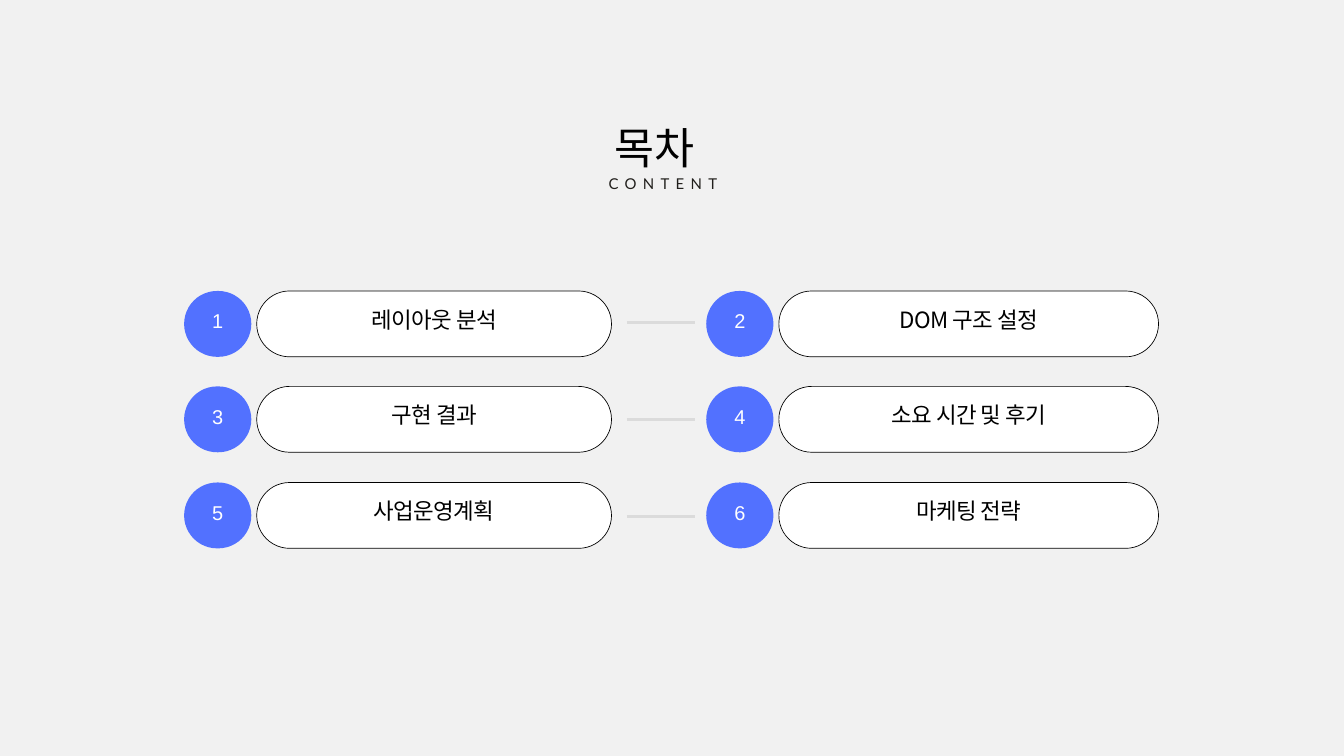
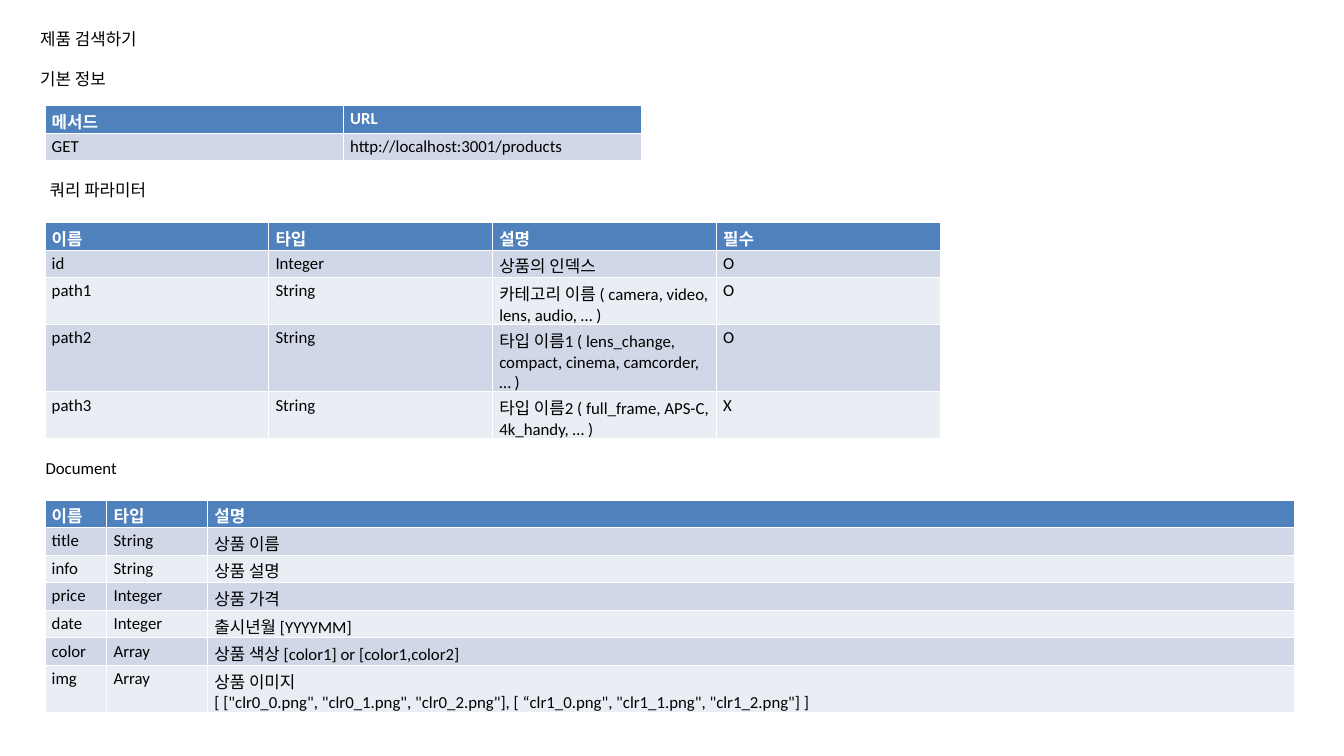
from pptx import Presentation
from pptx.dml.color import RGBColor
from pptx.enum.shapes import MSO_CONNECTOR, MSO_SHAPE
from pptx.enum.text import MSO_ANCHOR, MSO_AUTO_SIZE, PP_ALIGN
from pptx.oxml.ns import qn
from pptx.util import Pt
from lxml.etree import SubElement

PX = 9144
COLORS = {
    "gray_bg": "F1F1F1", "white": "FFFFFF", "black": "000000", "ink": "211F1C",
    "badge": "5271FF", "rule": "DBDBDB",
    "header": "4F81BD", "band_dark": "D0D8E8", "band_light": "E9EDF4",
}
KOREAN, SUBTITLE, NUMBER, BODY = "Noto Sans CJK KR", "Lato", "Arial", "Calibri"

CONTENTS = ["레이아웃 분석", "DOM 구조 설정", "구현 결과",
            "소요 시간 및 후기", "사업운영계획", "마케팅 전략"]
BASIC_INFO = [
    ["메서드", "URL"],
    ["GET", "http://localhost:3001/products"],
]
QUERY_PARAMS = [
    ["이름", "타입", "설명", "필수"],
    ["id", "Integer", "상품의 인덱스", "O"],
    ["path1", "String", "카테고리 이름 ( camera, video, lens, audio, … )", "O"],
    ["path2", "String", "타입 이름1 ( lens_change, compact, cinema, camcorder, … )", "O"],
    ["path3", "String", "타입 이름2 ( full_frame, APS-C, 4k_handy, … )", "X"],
]
DOCUMENT = [
    ["이름", "타입", "설명"],
    ["title", "String", "상품 이름"],
    ["info", "String", "상품 설명"],
    ["price", "Integer", "상품 가격"],
    ["date", "Integer", "출시년월 [YYYYMM]"],
    ["color", "Array", "상품 색상 [color1] or [color1,color2]"],
    ["img", "Array", '상품 이미지\v[ ["clr0_0.png", "clr0_1.png", "clr0_2.png"], '
                     '[ “clr1_0.png", "clr1_1.png", "clr1_2.png"] ]'],
]


def rgb(name):
    """Return the named colour."""
    return RGBColor.from_string(COLORS[name])


class Deck:
    """Holds the shared style and the current slide."""

    def __init__(self):
        """Open an empty 20 by 11.25 inch presentation."""
        self.prs = Presentation()
        self.prs.slide_width, self.prs.slide_height = 2000 * PX, 1125 * PX
        self.s = None

    def slide(self, bg):
        """Start a blank slide with a plain background."""
        self.s = self.prs.slides.add_slide(self.prs.slide_layouts[6])
        fill = self.s.background.fill
        fill.solid()
        fill.fore_color.rgb = rgb(bg)

    def style(self, p, font, size, color, bold=False, spacing=0):
        """Format every run of a paragraph."""
        for r in p.runs:
            r.font.name, r.font.size, r.font.bold = font, Pt(size), bold
            r.font.color.rgb = rgb(color)
            rPr = r._r.get_or_add_rPr()
            if spacing:
                rPr.set("spc", str(round(spacing * 100)))
            if font == KOREAN:
                SubElement(rPr, qn("a:ea"), typeface=font)

    def text(self, box, text, font, size, color, leading, spacing=0, inset=0,
             align=PP_ALIGN.CENTER, anchor=MSO_ANCHOR.TOP, parent=None):
        """Add a wrapped text box with an exact line height."""
        sp = (parent or self.s).shapes.add_textbox(*(v * PX for v in box))
        tf = sp.text_frame
        tf.word_wrap, tf.vertical_anchor = True, anchor
        tf.margin_left = tf.margin_top = tf.margin_right = tf.margin_bottom = inset * PX
        tf.text = text
        p = tf.paragraphs[0]
        p.alignment, p.line_spacing = align, Pt(leading)
        self.style(p, font, size, color, spacing=spacing)

    def pill(self, box, fill, line, lift, text, *look):
        """Group a fully rounded shape with a label set slightly above its middle."""
        x, y, w, h = box
        group = self.s.shapes.add_group_shape()
        sp = group.shapes.add_shape(MSO_SHAPE.ROUNDED_RECTANGLE, *(v * PX for v in box))
        sp.adjustments[0] = 0.5
        sp.shadow.inherit = False
        sp.fill.solid()
        sp.fill.fore_color.rgb = rgb(fill)
        if line:
            sp.line.color.rgb, sp.line.width = rgb(line), Pt(0.75)
        else:
            sp.line.fill.background()
        self.text((x, y - lift, w, h + lift), text, *look, inset=4,
                  anchor=MSO_ANCHOR.MIDDLE, parent=group)

    def rule(self, x1, x2, y):
        """Draw a horizontal line."""
        line = self.s.shapes.add_connector(
            MSO_CONNECTOR.STRAIGHT, x1 * PX, y * PX, x2 * PX, y * PX)
        line.line.color.rgb, line.line.width = rgb("rule"), Pt(3)
        SubElement(line._element.spPr, qn("a:effectLst"))

    def caption(self, x, y, w, text):
        """Add a one-line section caption."""
        sp = self.s.shapes.add_textbox(x * PX, y * PX, w * PX, 40 * PX)
        tf = sp.text_frame
        tf.word_wrap, tf.auto_size = False, MSO_AUTO_SIZE.SHAPE_TO_FIT_TEXT
        tf.text = text
        self.style(tf.paragraphs[0], BODY, 18, "black")

    def table(self, y, widths, rows):
        """Add a table with a header row and banded body rows."""
        height = 41
        tbl = self.s.shapes.add_table(
            len(rows), len(widths), 67 * PX, y * PX,
            sum(widths) * PX, height * len(rows) * PX).table
        for col, w in zip(tbl.columns, widths):
            col.width = w * PX
        for i, row in enumerate(rows):
            fill = "header" if i == 0 else "band_dark" if i % 2 else "band_light"
            for j, value in enumerate(row):
                cell = tbl.cell(i, j)
                cell.fill.solid()
                cell.fill.fore_color.rgb = rgb(fill)
                cell.text_frame.text = value
                self.style(cell.text_frame.paragraphs[0], BODY, 18,
                           "black" if i else "white", bold=i == 0)


def contents_slide(deck):
    """Build the table of contents."""
    deck.slide("gray_bg")
    for i, title in enumerate(CONTENTS):
        row, col = divmod(i, 2)
        x, y = 274 + 777 * col, 433 + 285 * row // 2
        deck.pill((x + 108, y, (528, 565)[col], 98), "white", "black", 23,
                  title, KOREAN, 24, "black", 35.3, -0.6)
        deck.pill((x, y, 100, 98), "badge", None, 17,
                  str(i + 1), NUMBER, 21.4, "white", 31.4, 3.1)
    deck.text((915, 162, 153, 92), "목차", KOREAN, 46.6, "black", 68.5,
              align=PP_ALIGN.LEFT)
    deck.text((767, 254, 439, 32), "CONTENT", SUBTITLE, 16, "ink", 23.5, 6.8)
    for row in range(3):
        deck.rule(933, 1034, 480 + 289 * row // 2)


def api_slide(deck):
    """Build the product search reference."""
    deck.slide("white")
    deck.caption(50, 38, 177, "제품 검색하기")
    deck.caption(50, 97, 127, "기본 정보")
    deck.table(157, [444] * 2, BASIC_INFO)
    deck.caption(64, 262, 177, "쿼리 파라미터")
    deck.table(331, [333] * 4, QUERY_PARAMS)
    deck.caption(58, 676, 127, "Document")
    deck.table(744, [92, 150, 1617], DOCUMENT)


def main():
    """Build and save the slides."""
    deck = Deck()
    contents_slide(deck)
    api_slide(deck)
    deck.prs.save("out.pptx")


if __name__ == "__main__":
    main()
